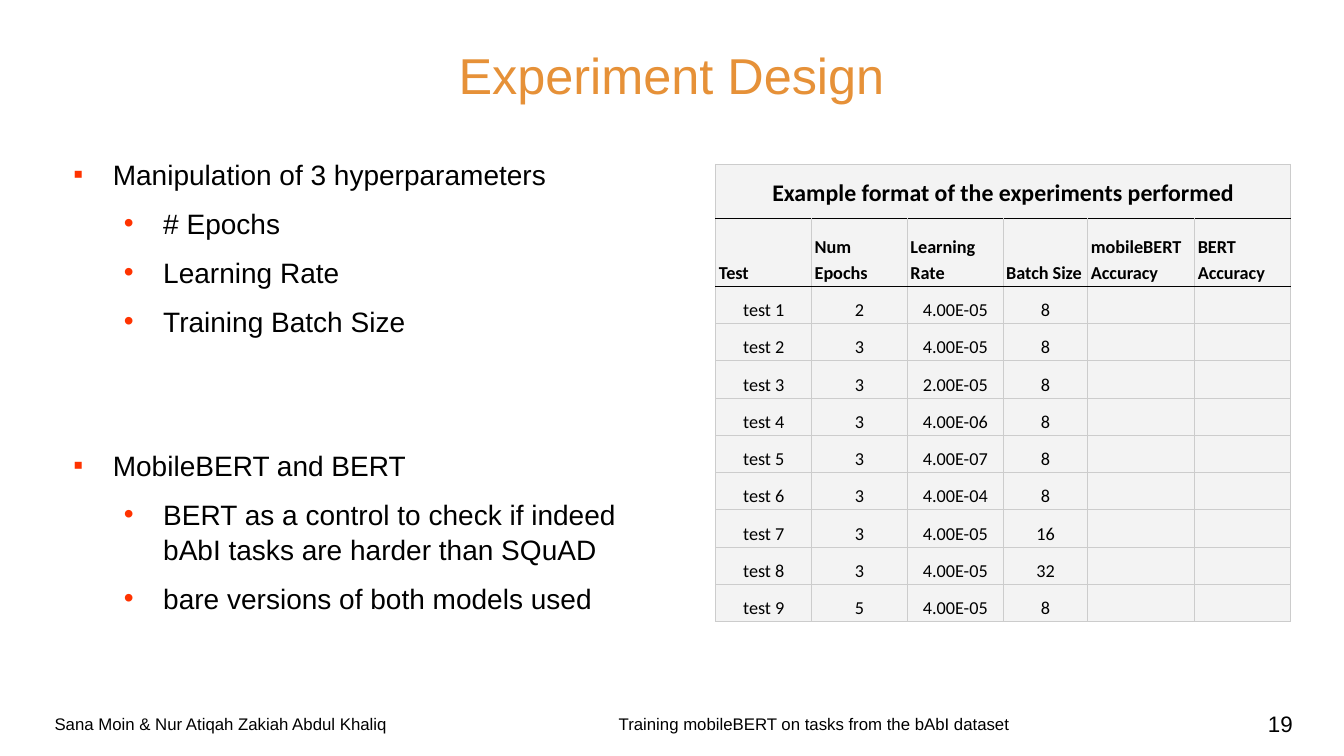
from lxml import etree
from pptx import Presentation
from pptx.dml.color import RGBColor
from pptx.enum.text import MSO_ANCHOR as Anchor, PP_ALIGN as Align
from pptx.oxml.ns import qn
from pptx.util import Inches, Pt

BLACK = "000000"
GREY = "CCCCCC"
PALE = "F3F3F3"
ORANGE = "E69138"
RED = "FF3300"

POINTS = [
    (0, "Manipulation of 3 hyperparameters", 10),
    (1, "# Epochs", 10),
    (1, "Learning Rate", 10),
    (1, "Training Batch Size", 10),
    (0, "MobileBERT and BERT", 78),
    (1, "BERT as a control to check if indeed bAbI tasks are harder than SQuAD", 10),
    (1, "bare versions of both models used", 10),
]
HEADS = ["Test", "Num Epochs", "Learning Rate", "Batch Size",
         "mobileBERT Accuracy", "BERT Accuracy"]
TESTS = [
    ("2", "4.00E-05", "8"),
    ("3", "4.00E-05", "8"),
    ("3", "2.00E-05", "8"),
    ("3", "4.00E-06", "8"),
    ("3", "4.00E-07", "8"),
    ("3", "4.00E-04", "8"),
    ("3", "4.00E-05", "16"),
    ("3", "4.00E-05", "32"),
    ("5", "4.00E-05", "8"),
]
WIDTHS = [0.95, 0.95, 0.95, 0.84, 1.06, 0.95]
HEIGHTS = [0.54, 0.67] + [0.37] * len(TESTS)


def color(code):
    return RGBColor.from_string(code)


def style(para, text, size, face="Arial", ink=BLACK, align=Align.LEFT, bold=False):
    para.text = text
    para.alignment = align
    para.font.size = Pt(size)
    para.font.name = face
    para.font.bold = bold
    para.font.color.rgb = color(ink)


def frame(slide, box, anchor):
    body = slide.shapes.add_textbox(*map(Inches, box)).text_frame
    body.word_wrap = True
    body.vertical_anchor = anchor
    return body


def label(slide, box, text, size, align=Align.CENTER, ink=BLACK, anchor=Anchor.MIDDLE):
    body = frame(slide, box, anchor)
    style(body.paragraphs[0], text, size, ink=ink, align=align)


def bullet(para, level):
    props = para._p.get_or_add_pPr()
    props.set("marL", str(Inches(0.5 + 0.5 * level)))
    props.set("indent", str(Inches(-0.39)))
    tint = etree.SubElement(props, qn("a:buClr"))
    etree.SubElement(tint, qn("a:srgbClr"), val=RED)
    etree.SubElement(props, qn("a:buFont"), typeface="Arial")
    etree.SubElement(props, qn("a:buChar"), char="▪•"[level])


def outline(slide, box):
    body = frame(slide, box, Anchor.TOP)
    for i, (level, text, gap) in enumerate(POINTS):
        para = body.add_paragraph() if i else body.paragraphs[0]
        style(para, text, 20)
        para.level = level
        para.space_before = Pt(gap)
        para.line_spacing = 1.04
        bullet(para, level)


def border(cell, top, base):
    props = cell._tc.get_or_add_tcPr()
    for side, ink in zip("LRTB", (GREY, GREY, top, base)):
        line = etree.SubElement(props, qn("a:ln" + side), w=str(Pt(0.75)))
        fill = etree.SubElement(line, qn("a:solidFill"))
        etree.SubElement(fill, qn("a:srgbClr"), val=ink)


def fill_cell(cell, row, text):
    cell.margin_left = cell.margin_right = Inches(0.03)
    cell.margin_top = cell.margin_bottom = Inches(0.02)
    cell.vertical_anchor = Anchor.BOTTOM if row else Anchor.MIDDLE
    para = cell.text_frame.paragraphs[0]
    style(para, text, 13 if row else 17, "Calibri",
          align=Align.LEFT if row == 1 else Align.CENTER, bold=row < 2)
    para.line_spacing = 1.15
    border(cell, BLACK if row in (1, 2) else GREY, BLACK if row < 2 else GREY)
    cell.fill.solid()
    cell.fill.fore_color.rgb = color(PALE)


def results(slide, left, top):
    rows = [["Example format of the experiments performed"] + [""] * 5, HEADS]
    rows += [[f"test {i}", *test, "", ""] for i, test in enumerate(TESTS, 1)]
    size = map(Inches, (left, top, sum(WIDTHS), sum(HEIGHTS)))
    grid = slide.shapes.add_table(len(rows), len(WIDTHS), *size).table
    for col, width in zip(grid.columns, WIDTHS):
        col.width = Inches(width)
    for row, height in zip(grid.rows, HEIGHTS):
        row.height = Inches(height)
    for r, row in enumerate(rows):
        for c, text in enumerate(row):
            fill_cell(grid.cell(r, c), r, text)
    grid.cell(0, 0).merge(grid.cell(0, len(WIDTHS) - 1))


def footer(slide, top, height):
    label(slide, (0.42, top, 3.54, height), "Sana Moin & Nur Atiqah Zakiah Abdul Khaliq", 12)
    label(slide, (4.17, top, 7.81, height),
          "Training mobileBERT on tasks from the bAbI dataset", 12)
    label(slide, (12.19, top, 0.73, height), "19", 16, Align.RIGHT)


def main():
    deck = Presentation()
    deck.slide_width = Inches(13.33)
    deck.slide_height = Inches(7.5)
    slide = deck.slides.add_slide(deck.slide_layouts[6])
    label(slide, (0.52, 0.17, 12.28, 0.92), "Experiment Design", 36,
          ink=ORANGE, anchor=Anchor.BOTTOM)
    outline(slide, (0.52, 1.5, 6.29, 5.35))
    results(slide, 7.1, 1.63)
    footer(slide, 6.92, 0.52)
    deck.save("out.pptx")


if __name__ == "__main__":
    main()
